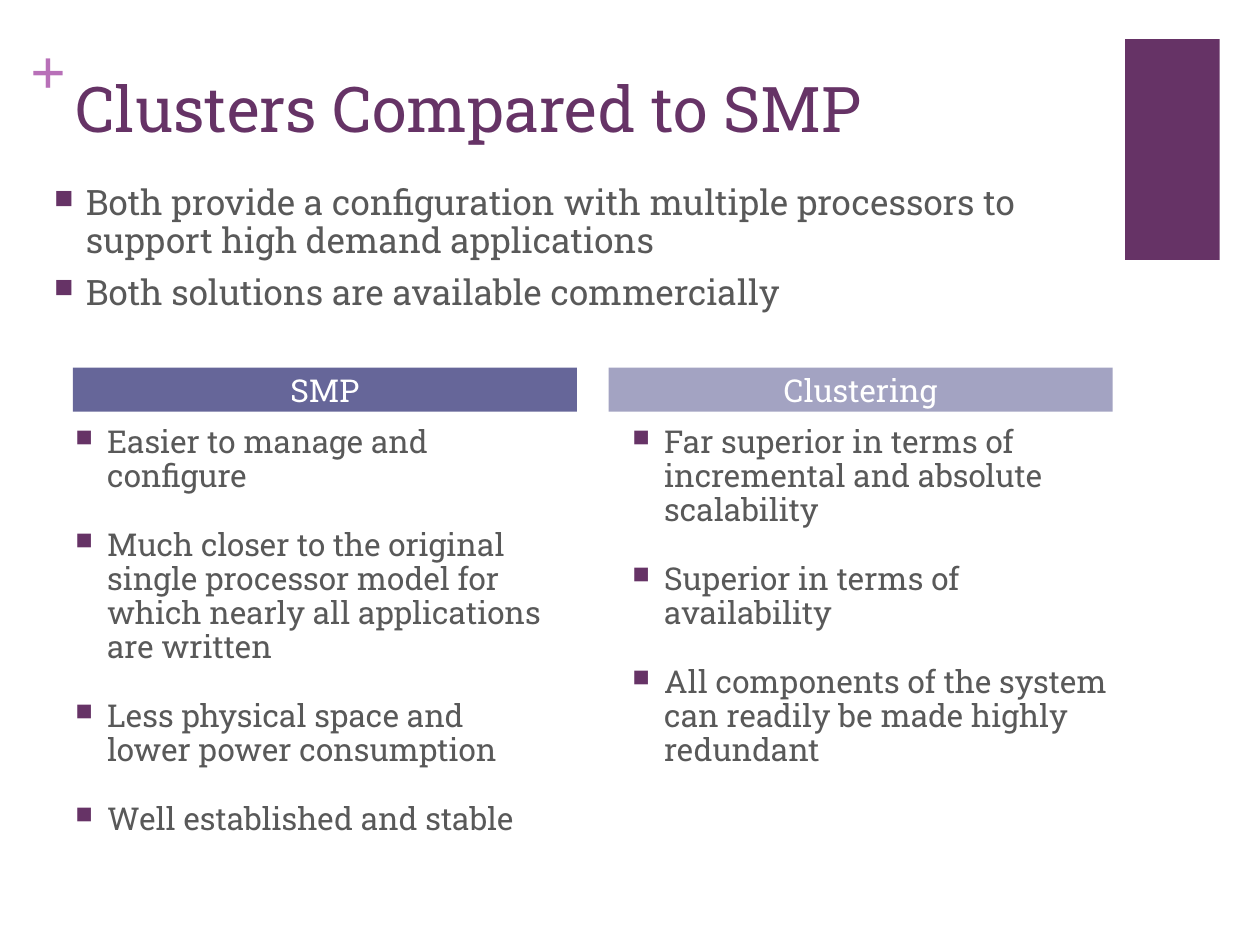
from lxml import etree
from pptx import Presentation
from pptx import util as u
from pptx.dml.color import RGBColor
from pptx.enum import shapes, text
from pptx.oxml import ns

SLAB = "Roboto Slab"
PLUM = "663366"
GREY = "595959"

TOP = [
    "Both provide a configuration with multiple processors to support high demand applications",
    "Both solutions are available commercially",
]
# Header, header fill, header left, list left (cm), points
COLS = [
    ("SMP", "666699", 1.47, 1.27, [
        "Easier to manage and configure",
        "Much closer to the original single processor model for which nearly all applications are written",
        "Less physical space and lower power consumption",
        "Well established and stable",
    ]),
    ("Clustering", "A3A3C2", 12.27, 12.5, [
        "Far superior in terms of incremental and absolute scalability",
        "Superior in terms of availability",
        "All components of the system can readily be made highly redundant",
    ]),
]


def rgb(code):
    return RGBColor.from_string(code)


def place(box):
    return [u.Cm(n) for n in box]


def write(para, words, size=18, color=GREY, font=SLAB, bold=False, align=None):
    run = para.add_run()
    run.text = words
    run.font.size = u.Pt(size)
    run.font.name = font
    run.font.bold = bold
    run.font.color.rgb = rgb(color)
    para.alignment = align


def bullet(para):
    props = para._p.get_or_add_pPr()
    props.set("marL", str(u.Cm(0.64)))
    props.set("indent", str(-u.Cm(0.64)))
    tint = etree.SubElement(props, ns.qn("a:buClr"))
    etree.SubElement(tint, ns.qn("a:srgbClr"), val=PLUM)
    etree.SubElement(props, ns.qn("a:buSzPct"), val="75000")
    etree.SubElement(props, ns.qn("a:buChar"), char="■")


def frame(slide, box, inset=True):
    body = slide.shapes.add_textbox(*place(box)).text_frame
    body.word_wrap = True
    if not inset:
        body.margin_left = body.margin_right = 0
        body.margin_top = body.margin_bottom = 0
    return body


def points(slide, box, items, size, gap):
    body = frame(slide, box)
    for i, item in enumerate(items):
        para = body.add_paragraph() if i else body.paragraphs[0]
        para.line_spacing = 0.9
        para.space_before = u.Pt(gap)
        bullet(para)
        write(para, item, size=size)


def block(slide, box, fill):
    shape = slide.shapes.add_shape(shapes.MSO_SHAPE.RECTANGLE, *place(box))
    shape.shadow.inherit = False
    shape.fill.solid()
    shape.fill.fore_color.rgb = rgb(fill)
    shape.line.fill.background()
    return shape


def header(slide, box, words, fill):
    body = block(slide, box, fill).text_frame
    body.margin_top = body.margin_bottom = 0
    body.vertical_anchor = text.MSO_ANCHOR.MIDDLE
    write(body.paragraphs[0], words, color="FFFFFF", align=text.PP_ALIGN.CENTER)


def main():
    deck = Presentation()
    deck.slide_width, deck.slide_height = u.Cm(25.4), u.Cm(19.05)
    slide = deck.slides.add_slide(deck.slide_layouts[6])

    # Corner decoration
    block(slide, (22.68, 0.79, 1.91, 5.59 - 1.14), PLUM)
    plus = frame(slide, (0.61, 0.64, 0.74, 1.55), inset=False)
    write(plus.paragraphs[0], "+", size=36, color="B870B8",
          font="Times New Roman", bold=True)

    # Title
    title = frame(slide, (1.27, 1.27, 20.98, 2.03))
    write(title.paragraphs[0], "Clusters Compared to SMP", size=36, color=PLUM)

    # Shared points, then one column for each system
    points(slide, (0.84, 3.61, 21.03, 3.89), TOP, size=20, gap=8)
    for name, fill, left, inner, items in COLS:
        points(slide, (inner, 8.46, 10.16, 10.21), items, size=18, gap=20)
        header(slide, (left, 7.41, 10.16, 0.89), name, fill)

    deck.save("out.pptx")


if __name__ == "__main__":
    main()
